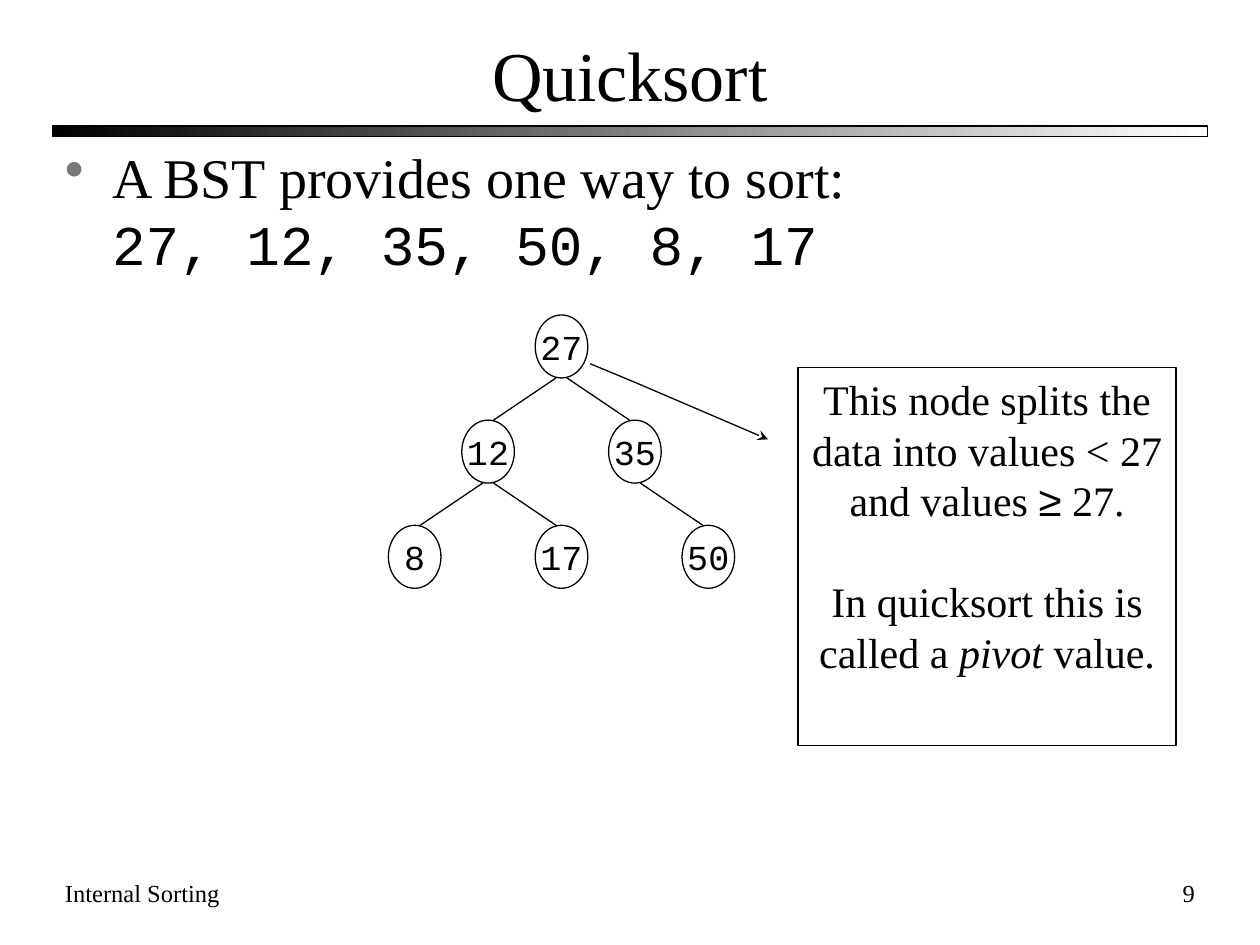
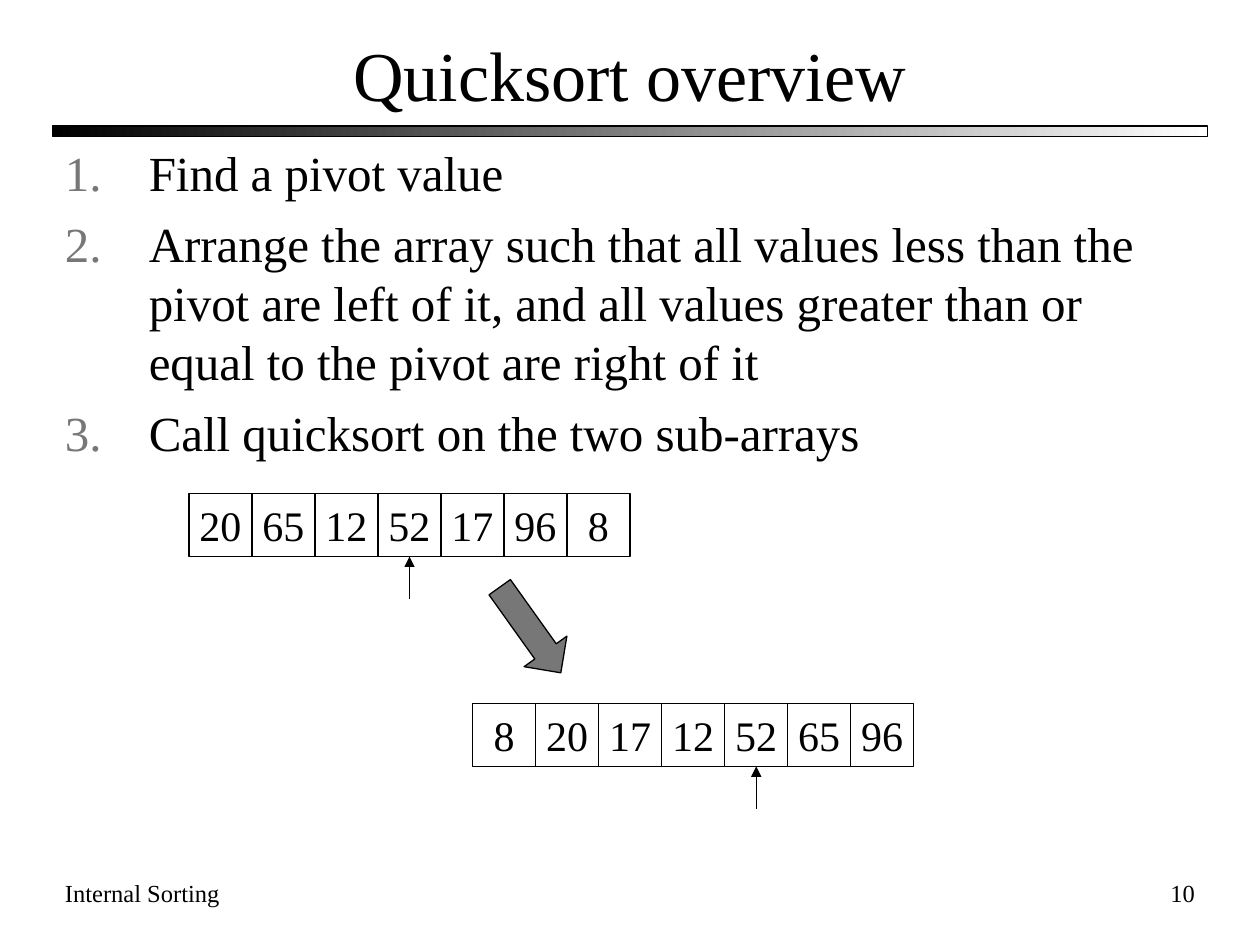
from dataclasses import dataclass
from typing import NamedTuple

from lxml.etree import SubElement as Sub
from pptx import Presentation as Deck
from pptx.dml.color import RGBColor as Rgb
from pptx.enum.shapes import MSO_CONNECTOR as Link, MSO_SHAPE as Kind
from pptx.enum.text import MSO_ANCHOR as Anchor, PP_ALIGN as Align
from pptx.oxml.ns import qn
from pptx.util import Cm, Pt

HUES = {"ink": "000000", "paper": "FFFFFF", "gray": "777777"}
SERIF, MONO, SANS = "Times New Roman", "Courier New", "Arial"
EDGE, WIDE = 1.06, 23.28
SIDE = 1.27
NODE_W, STEP_X, STEP_Y = 1.06, 1.48, 2.12
TREE_X, TREE_Y = 7.83, 6.35


class Box(NamedTuple):
    x: float
    y: float
    w: float
    h: float


class Run(NamedTuple):
    text: str
    font: str = SERIF
    slant: bool = False


@dataclass
class Para:
    runs: list[Run]
    gap: float = 0
    mark: str = ""
    indent: float = 0


@dataclass
class Node:
    text: str
    col: int
    row: int

    @property
    def mid(self) -> float:
        return TREE_X + self.col * STEP_X + NODE_W / 2

    @property
    def top(self) -> float:
        return TREE_Y + self.row * STEP_Y


@dataclass
class Strip:
    x: float
    y: float
    cells: list[str]
    pivot: str


def hue(name: str) -> Rgb:
    return Rgb.from_string(HUES[name])


def cms(box: Box) -> list[Cm]:
    return [Cm(n) for n in box]


def write(shape, paras: list[Para], size: float, align=Align.LEFT,
          anchor=Anchor.TOP, wrap: bool = True) -> None:
    frame = shape.text_frame
    frame.word_wrap = wrap
    frame.vertical_anchor = anchor
    for i, para in enumerate(paras):
        line = frame.add_paragraph() if i else frame.paragraphs[0]
        line.alignment = align
        if i:
            line.space_before = Pt(para.gap)
        if para.mark:
            bullet(line, para)
        for j, part in enumerate(para.runs):
            if j and para.runs[j - 1].text.endswith(":"):
                line.add_line_break()
            run = line.add_run()
            run.text = part.text
            run.font.size = Pt(size)
            run.font.name = part.font
            run.font.italic = part.slant
            run.font.color.rgb = hue("ink")


def bullet(line, para: Para) -> None:
    props = line._p.get_or_add_pPr()
    props.set("marL", str(Cm(para.indent)))
    props.set("indent", str(-Cm(para.indent)))
    tint = Sub(props, qn("a:buClr"))
    Sub(tint, qn("a:srgbClr"), val=HUES["gray"])
    if para.mark == "1.":
        Sub(props, qn("a:buAutoNum"), type="arabicPeriod")
    else:
        Sub(props, qn("a:buChar"), char=para.mark)


def label(slide, box: Box, paras: list[Para], size: float, **style) -> None:
    write(slide.shapes.add_textbox(*cms(box)), paras, size, **style)


def draw(slide, kind, box: Box, fill: str = ""):
    shape = slide.shapes.add_shape(kind, *cms(box))
    shape.shadow.inherit = False
    if fill:
        shape.fill.solid()
        shape.fill.fore_color.rgb = hue(fill)
    else:
        shape.fill.background()
    shape.line.color.rgb = hue("ink")
    shape.line.width = Pt(0.75)
    return shape


def cell(slide, kind, box: Box, text: str, font: str, size: float):
    shape = draw(slide, kind, box)
    write(shape, [Para([Run(text, font)])], size, Align.CENTER,
          Anchor.MIDDLE, False)
    return shape


def join(slide, x1: float, y1: float, x2: float, y2: float):
    line = slide.shapes.add_connector(Link.STRAIGHT, Cm(x1), Cm(y1), Cm(x2), Cm(y2))
    line.line.color.rgb = hue("ink")
    line.line.width = Pt(0.75)
    Sub(line._element.spPr, qn("a:effectLst"))
    return line


def tip(shape, end: str, style: str) -> None:
    Sub(shape.line._get_or_add_ln(), qn(f"a:{end}"), type=style)


def start(deck, title: str, page: int):
    slide = deck.slides.add_slide(deck.slide_layouts[6])
    band = draw(slide, Kind.RECTANGLE, Box(EDGE, 2.54, WIDE, 0.21))
    band.fill.gradient()
    band.fill.gradient_angle = 180
    for stop, name in zip(band.fill.gradient_stops, ("paper", "ink")):
        stop.color.rgb = hue(name)
    label(slide, Box(EDGE, 0.42, WIDE, 2.12), [Para([Run(title)])], 40,
          align=Align.CENTER, anchor=Anchor.MIDDLE)
    label(slide, Box(EDGE, 17.57, 8.89, 1.27), [Para([Run("Internal Sorting")])], 14)
    label(slide, Box(19.05, 17.57, 5.29, 1.27), [Para([Run(str(page))])], 14,
          align=Align.RIGHT)
    return slide


def branch(slide, above: Node, below: Node) -> None:
    lean = 0.11 if below.col > above.col else -0.11
    join(slide, above.mid + lean, above.top + SIDE, below.mid - lean, below.top)


def tree(slide) -> None:
    root, low, high = Node("27", 2, 0), Node("12", 1, 1), Node("35", 3, 1)
    leaves = [Node("8", 0, 2), Node("17", 2, 2), Node("50", 4, 2)]
    for node in (root, low, high, *leaves):
        box = Box(node.mid - NODE_W / 2, node.top, NODE_W, SIDE)
        cell(slide, Kind.OVAL, box, node.text, MONO, 20)
    for above, below in zip((root, root, low, low, high), (low, high, *leaves)):
        branch(slide, above, below)


def array(slide, strip: Strip) -> None:
    for i, text in enumerate(strip.cells):
        x = strip.x + i * SIDE
        shape = cell(slide, Kind.RECTANGLE, Box(x, strip.y, SIDE, SIDE),
                     text, SERIF, 24)
        if text == strip.pivot:
            mid, base = x + SIDE / 2, strip.y + SIDE
            arrow = join(slide, mid, base + 0.85, mid, base)
            arrow.end_connect(shape, 2)
            tip(arrow, "tailEnd", "triangle")


def sort_slide(deck) -> None:
    slide = start(deck, "Quicksort", 9)
    intro = [Run("A BST provides one way to sort:"),
             Run("27, 12, 35, 50, 8, 17", MONO)]
    label(slide, Box(EDGE, 2.75, WIDE, 14.6),
          [Para(intro, mark="•", indent=0.95)], 32)
    tree(slide)
    note = draw(slide, Kind.LINE_CALLOUT_2, Box(16.09, 7.41, 7.62, 7.62))
    for i, bend in enumerate((0.19, -0.08, 0.04, -0.43, -0.01, -0.55)):
        note.adjustments[i] = bend
    tip(note, "headEnd", "stealth")
    write(note, [
        Para([Run("This node splits the data into values < 27 and values "),
              Run("≥", SANS), Run(" 27.")]),
        Para([Run("In quicksort this is called a "), Run("pivot", slant=True),
              Run(" value.")], gap=29),
    ], 24, Align.CENTER)


def plan_slide(deck) -> None:
    slide = start(deck, "Quicksort overview", 10)
    steps = ["Find a pivot value",
             "Arrange the array such that all values less than the pivot are left "
             "of it, and all values greater than or equal to the pivot are right of it",
             "Call quicksort on the two sub-arrays"]
    label(slide, Box(EDGE, 2.75, WIDE, 6.77),
          [Para([Run(step)], 7, "1.", 1.69) for step in steps], 28)
    array(slide, Strip(3.81, 9.95, ["20", "65", "12", "52", "17", "96", "8"], "52"))
    array(slide, Strip(9.53, 14.18, ["8", "20", "17", "12", "52", "65", "96"], "52"))
    arrow = draw(slide, Kind.DOWN_ARROW, Box(10.16, 11.64, 1.06, 2.12), "gray")
    arrow.rotation = 324.5


def main() -> None:
    deck = Deck()
    deck.slide_width, deck.slide_height = Cm(25.4), Cm(19.05)
    sort_slide(deck)
    plan_slide(deck)
    deck.save("out.pptx")


if __name__ == "__main__":
    main()
